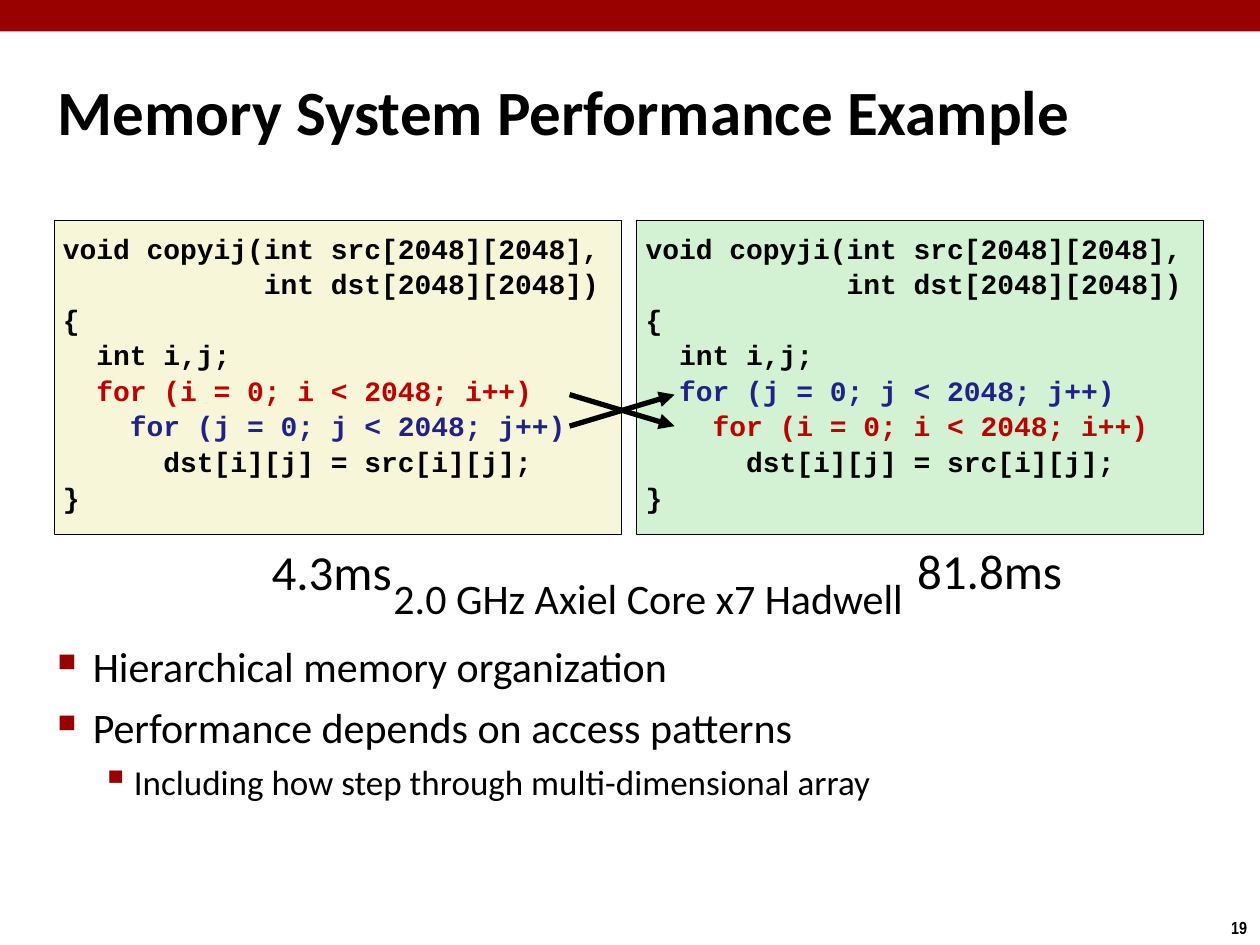
"""Build the memory system performance slide."""
import pptx
import pptx.dml.color
import pptx.enum.shapes
import pptx.enum.text
import pptx.oxml
import pptx.oxml.ns
import pptx.util

Pt = pptx.util.Pt
ALIGN = pptx.enum.text.PP_ALIGN
ANCHOR = pptx.enum.text.MSO_ANCHOR
RECT = pptx.enum.shapes.MSO_SHAPE.RECTANGLE
STRAIGHT = pptx.enum.shapes.MSO_CONNECTOR.STRAIGHT
NS = pptx.oxml.ns.nsdecls("a")
BLACK, RED, BLUE, MAROON = "000000", "C00000", "21218A", "990000"


def rgb(value):
    return pptx.dml.color.RGBColor.from_string(value)


def add_run(p, text, size, font="Calibri", color=BLACK, bold=False):
    r = p.add_run()
    r.text = text
    r.font.size = Pt(size)
    r.font.name = font
    r.font.bold = bold
    r.font.color.rgb = rgb(color)


prs = pptx.Presentation()
prs.slide_width, prs.slide_height = Pt(720), Pt(540)
s = prs.slides.add_slide(prs.slide_layouts[6])

bar = s.shapes.add_shape(RECT, 0, 0, Pt(720), Pt(18))
bar.shadow.inherit = False
bar.fill.solid()
bar.fill.fore_color.rgb = rgb(MAROON)
bar.line.fill.background()

tf = s.shapes.add_textbox(Pt(30), Pt(20), Pt(660), Pt(86)).text_frame
tf.word_wrap = True
tf.vertical_anchor = ANCHOR.MIDDLE
tf.margin_left = tf.margin_right = tf.margin_top = tf.margin_bottom = Pt(3)
add_run(tf.paragraphs[0], "Memory System Performance Example", 36, bold=True)

tf = s.shapes.add_textbox(Pt(30), Pt(363), Pt(660), Pt(175)).text_frame
tf.word_wrap = True
tf.margin_left = tf.margin_right = tf.margin_top = tf.margin_bottom = Pt(3)
bullets = [
    ("Hierarchical memory organization", 0, 24, 0, 20, 20, "■", 60),
    ("Performance depends on access patterns", 0, 24, 6, 20, 20, "■", 60),
    ("Including how step through multi-dimensional array", 1, 20, 5, 43.5, 18.5, "▪", 110),
]
for i, (text, level, size, before, left, hang, mark, percent) in enumerate(bullets):
    p = tf.paragraphs[0] if i == 0 else tf.add_paragraph()
    p.level = level
    p.space_before = Pt(before)
    pPr = p._p.get_or_add_pPr()
    pPr.set("marL", str(Pt(left)))
    pPr.set("indent", str(-Pt(hang)))
    for xml in (
        f'<a:buClr {NS}><a:srgbClr val="{MAROON}"/></a:buClr>',
        f'<a:buSzPct {NS} val="{percent * 1000}"/>',
        f'<a:buChar {NS} char="{mark}"/>',
    ):
        pPr.append(pptx.oxml.parse_xml(xml))
    add_run(p, text, size)

loops = {
    "i": ("for (i = 0; i < 2048; i++)", RED),
    "j": ("for (j = 0; j < 2048; j++)", BLUE),
}
for order, left, fill in (("ij", 31, "F8F6D9"), ("ji", 364, "D3F2D3")):
    sp = s.shapes.add_shape(RECT, Pt(left), Pt(126), Pt(324), Pt(179.5))
    sp.shadow.inherit = False
    sp.fill.solid()
    sp.fill.fore_color.rgb = rgb(fill)
    sp.line.color.rgb = rgb(BLACK)
    sp.line.width = Pt(0.5)
    tf = sp.text_frame
    tf.word_wrap = True
    tf.vertical_anchor = ANCHOR.TOP
    tf.margin_left = tf.margin_right = tf.margin_top = tf.margin_bottom = Pt(5)
    outer, inner = (loops[name] for name in order)
    code = [
        [(f"void copy{order}(int src[2048][2048],", BLACK)],
        [("            int dst[2048][2048])", BLACK)],
        [("{", BLACK)],
        [("  int i,j;", BLACK)],
        [("  ", BLACK), outer],
        [("    ", BLACK), inner],
        [("      dst[i][j] = src[i][j];", BLACK)],
        [("}", BLACK)],
    ]
    for i, line in enumerate(code):
        p = tf.paragraphs[0] if i == 0 else tf.add_paragraph()
        p.alignment = ALIGN.LEFT
        p.line_spacing = 1.06
        for text, color in line:
            add_run(p, text, 16, "Courier New", color, True)

for y1, y2 in ((225.5, 243.5), (243.5, 225.5)):
    arrow = s.shapes.add_connector(STRAIGHT, Pt(325.5), Pt(y1), Pt(385.5), Pt(y2))
    arrow.line.color.rgb = rgb(BLACK)
    arrow.line.width = Pt(3)
    arrow.line._get_or_add_ln().append(pptx.oxml.parse_xml(f'<a:tailEnd {NS} type="triangle"/>'))
    arrow._element.spPr.append(pptx.oxml.parse_xml(f"<a:effectLst {NS}/>"))

labels = [
    ("81.8ms", 515, 306, 101, 40, 3, 28, "Calibri", False),
    ("4.3ms", 143, 306, 93, 41, 3.6, 28, "Calibri", False),
    ("2.0 GHz Axiel Core x7 Hadwell", 206, 324, 329, 35, 3, 24, "Calibri", False),
    ("19", 681, 520.5, 54, 19.5, 3.6, 10, "Arial Narrow", True),
]
for text, left, top, width, height, inset, size, font, bold in labels:
    tf = s.shapes.add_textbox(Pt(left), Pt(top), Pt(width), Pt(height)).text_frame
    tf.word_wrap = False
    tf.margin_left = tf.margin_right = tf.margin_top = tf.margin_bottom = Pt(inset)
    p = tf.paragraphs[0]
    p.alignment = ALIGN.CENTER
    add_run(p, text, size, font, bold=bold)

prs.save("out.pptx")
